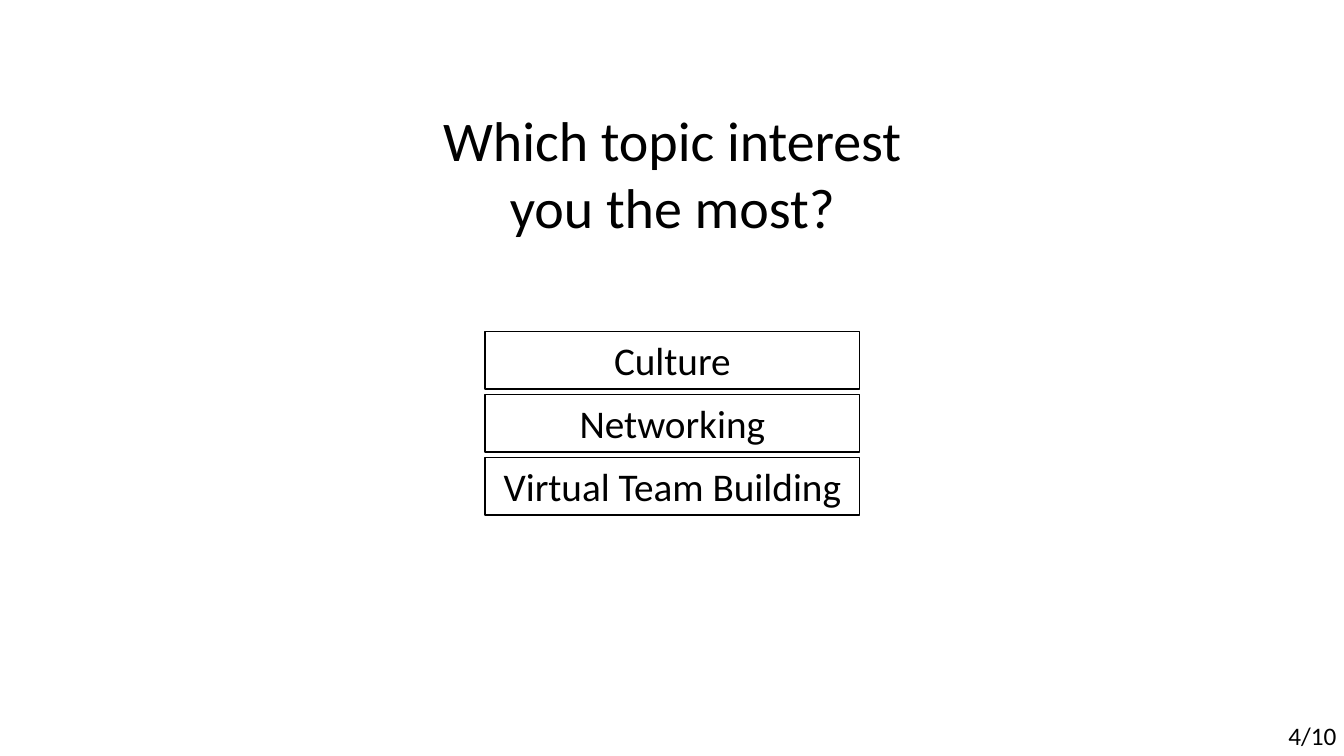
import pptx
import pptx.util
import pptx.dml.color
import pptx.enum.shapes
import pptx.enum.text

INK = {"text": "000000", "edge": "000000", "box": "FFFFFF"}
TOPICS = ["Culture", "Networking", "Virtual Team Building"]
ALIGN = pptx.enum.text.PP_ALIGN


class Poll:
    """Holds the style and the slide; places are percent of its size."""

    font = "Calibri"
    frame = {
        "word_wrap": True,
        "vertical_anchor": pptx.enum.text.MSO_ANCHOR.TOP,
        "auto_size": pptx.enum.text.MSO_AUTO_SIZE.SHAPE_TO_FIT_TEXT,
    }

    def __init__(self, deck):
        self.wide, self.high = deck.slide_width, deck.slide_height
        self.slide = deck.slides.add_slide(deck.slide_layouts[5])

    def place(self, left, top, width, height):
        return [int(share * side / 100) for share, side in
                zip((left, top, width, height), (self.wide, self.high) * 2)]

    def color(self, name):
        return pptx.dml.color.RGBColor.from_string(INK[name])

    def letter(self, shape, text, size, align):
        body = shape.text_frame
        body.text = text
        para = body.paragraphs[0]
        font = para.runs[0].font
        look = {"name": self.font, "size": pptx.util.Pt(size)}
        for item, values in ((body, self.frame), (font, look),
                             (para, {"alignment": align})):
            for key, value in values.items():
                setattr(item, key, value)
        font.color.rgb = self.color("text")

    def title(self, text, spot):
        shape = self.slide.shapes.title
        for key, value in zip(("left", "top", "width", "height"),
                              self.place(*spot)):
            setattr(shape, key, value)
        self.letter(shape, text, 40, ALIGN.CENTER)

    def label(self, text, spot):
        shape = self.slide.shapes.add_textbox(*self.place(*spot))
        self.letter(shape, text, 18, ALIGN.LEFT)

    def option(self, group, text, spot):
        shape = group.shapes.add_shape(
            pptx.enum.shapes.MSO_SHAPE.RECTANGLE, *self.place(*spot))
        shape.shadow.inherit = False
        shape.fill.solid()
        shape.fill.fore_color.rgb = self.color("box")
        shape.line.color.rgb = self.color("edge")
        shape.line.width = pptx.util.Pt(1)
        self.letter(shape, text, 28, ALIGN.CENTER)

    def stack(self, names, left, top, width, height, step):
        group = self.slide.shapes.add_group_shape()
        for row, name in enumerate(names):
            self.option(group, name, (left, top + row * step, width, height))


deck = pptx.Presentation()
deck.slide_width = pptx.util.Inches(13.33)
deck.slide_height = pptx.util.Inches(7.5)
poll = Poll(deck)

# Question
poll.title("Which topic interest you the most?", (28.8, 13.33, 42.45, 19.33))

# Answers, evenly stacked
poll.stack(TOPICS, left=36.08, top=43.87, width=27.9, height=7.6, step=8.33)

# Page count
poll.label("4/10", (95.12, 94.67, 6.75, 5.33))

deck.save("out.pptx")
